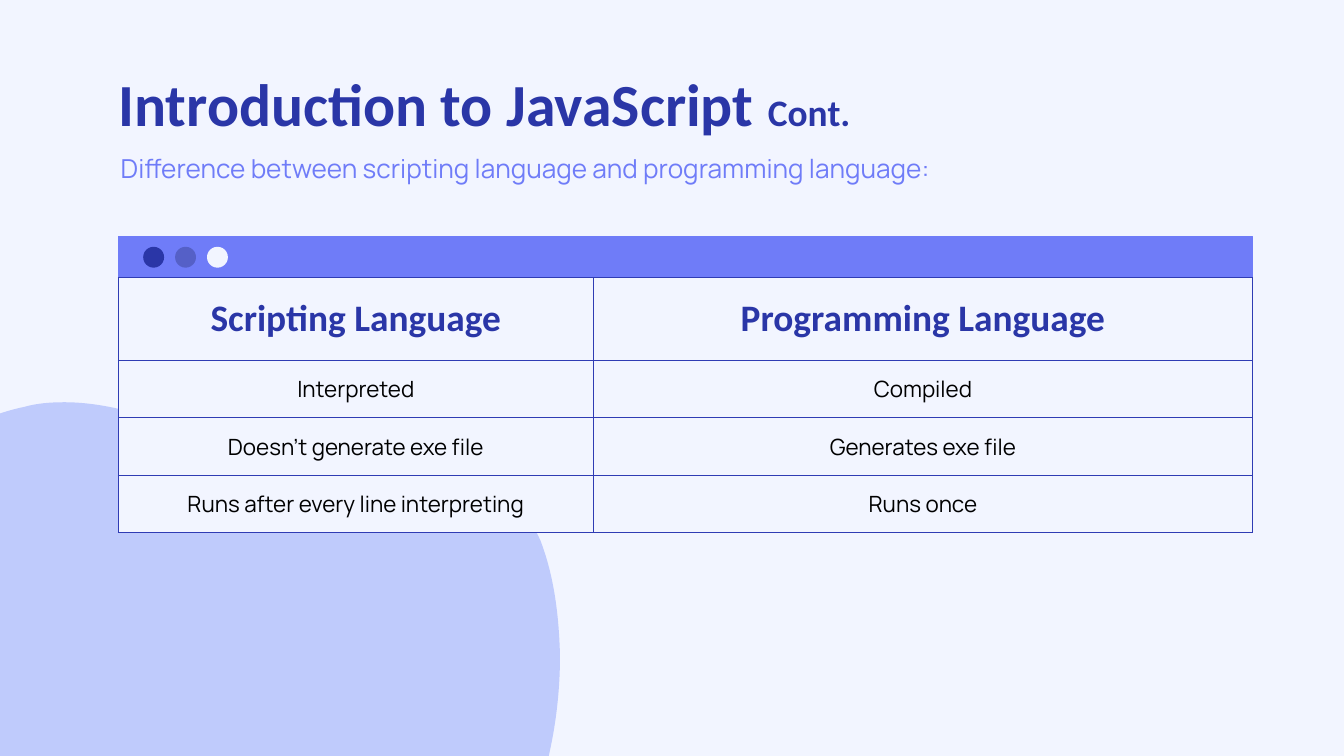
from lxml import etree
from pptx import Presentation
from pptx.dml.color import RGBColor
from pptx.enum.shapes import MSO_SHAPE
from pptx.enum.text import MSO_ANCHOR, PP_ALIGN
from pptx.oxml.ns import qn
from pptx.util import Pt

RECT, OVAL = MSO_SHAPE.RECTANGLE, MSO_SHAPE.OVAL
TOP, MIDDLE = MSO_ANCHOR.TOP, MSO_ANCHOR.MIDDLE
LEFT, CENTER = PP_ALIGN.LEFT, PP_ALIGN.CENTER

COLORS = {
    "background": "F2F5FF",
    "blob": "BFCBFC",
    "navy": "2A36A7",
    "accent": "6F7CF8",
    "mid": "5560C7",
    "border": "2F3CB4",
    "black": "000000",
}


def rgb(name):
    return RGBColor.from_string(COLORS[name])


def style_text(tf, size, font, color, align, bold=False):
    p = tf.paragraphs[0]
    p.alignment = align
    p.font.size = Pt(size)
    p.font.name = font
    p.font.bold = bold
    p.font.color.rgb = rgb(color)


prs = Presentation()
prs.slide_width, prs.slide_height = Pt(720), Pt(405)
s = prs.slides.add_slide(prs.slide_layouts[5])
s.background.fill.solid()
s.background.fill.fore_color.rgb = rgb("background")

BLOB_START = (105, 560)
BLOB_CURVES = [
    ((110, 560), (114.5, 560), (119.5, 560)),
    ((143.5, 558), (166.5, 552), (188, 542)),
    ((199.5, 536.5), (210.5, 530), (220.5, 522)),
    ((223.5, 519.5), (226.5, 517.5), (229.5, 515)),
    ((242, 504.5), (253, 492.5), (262, 479.5)),
    ((287, 443), (300, 397), (300, 351.5)),
    ((299.5, 330.5), (297, 309), (289.5, 289.5)),
    ((282, 273.5), (271.5, 259), (257, 250.5)),
    ((242, 242), (227, 240), (211, 240)),
    ((192, 240), (173, 242.5), (154, 242.5)),
    ((148.5, 242.5), (143.5, 242.5), (138, 242)),
    ((122.5, 240), (107.5, 234), (93, 228)),
    ((92.5, 228), (92.5, 228), (92.5, 227.5)),
    ((73.5, 221), (54, 215.5), (34.5, 215.5)),
    ((27.5, 215.5), (20, 216), (13, 218)),
    ((-11.5, 223), (-34, 237), (-51, 255)),
    ((-95, 301), (-98.5, 376), (-78, 433)),
    ((-49.5, 508.5), (25, 560), BLOB_START),
]
builder = s.shapes.build_freeform(Pt(BLOB_START[0]), Pt(BLOB_START[1]))
builder.add_line_segments([(Pt(x), Pt(y)) for _, _, (x, y) in BLOB_CURVES], close=True)
blob = builder.convert_to_shape()
blob.shadow.inherit = False
blob.fill.solid()
blob.fill.fore_color.rgb = rgb("blob")
blob.line.fill.background()
segments = list(blob._element.iter(qn("a:lnTo")))
for segment, curve in zip(segments, BLOB_CURVES):
    bezier = etree.Element(qn("a:cubicBezTo"))
    for x, y in curve:
        etree.SubElement(bezier, qn("a:pt"), x=str(Pt(x) - blob.left), y=str(Pt(y) - blob.top))
    segment.getparent().replace(segment, bezier)

title = s.shapes.title
title.left, title.top, title.width, title.height = Pt(56.2), Pt(36), Pt(607.6), Pt(45.4)
tf = title.text_frame
p = tf.paragraphs[0]
p.add_run().text = "Introduction to JavaScript "
r = p.add_run()
r.text = "Cont."
r.font.size = Pt(20)
style_text(tf, 32, "Calibri", "navy", LEFT, True)

subtitle = s.shapes.add_textbox(Pt(57.6), Pt(81.8), Pt(646.5), Pt(19.4))
tf = subtitle.text_frame
tf.word_wrap = True
tf.text = "Difference between scripting language and programming language:"
style_text(tf, 14, "Manrope", "accent", LEFT)
for tf in (title.text_frame, subtitle.text_frame):
    tf.vertical_anchor = TOP
    tf.margin_left = tf.margin_right = Pt(7.2)
    tf.margin_top = tf.margin_bottom = 0

TABLE_LEFT, TABLE_TOP, TABLE_WIDTH = 63.4, 148.8, 607.6
BAR_HEIGHT, DOT = 22, 11.2
bar_top = TABLE_TOP - BAR_HEIGHT
window_parts = [(RECT, TABLE_LEFT, bar_top, TABLE_WIDTH, BAR_HEIGHT, "accent")]
for i, color in enumerate(("navy", "mid", "background")):
    window_parts.append((OVAL, 76.7 + 17.1 * i, bar_top + 5.4, DOT, DOT, color))
for kind, x, y, w, h, color in window_parts:
    sp = s.shapes.add_shape(kind, Pt(x), Pt(y), Pt(w), Pt(h))
    sp.shadow.inherit = False
    sp.fill.solid()
    sp.fill.fore_color.rgb = rgb(color)
    if kind == RECT:
        sp.line.color.rgb = rgb(color)
        sp.line.width = Pt(0.75)
    else:
        sp.line.fill.background()

ROWS = [
    ("Scripting Language", "Programming Language"),
    ("Interpreted", "Compiled"),
    ("Doesn’t generate exe file", "Generates exe file"),
    ("Runs after every line interpreting", "Runs once"),
]
HEIGHTS = [44.2] + [30.8] * 3
WIDTHS = [254.5, 353.1]
table = s.shapes.add_table(
    len(ROWS), len(WIDTHS), Pt(TABLE_LEFT), Pt(TABLE_TOP), Pt(TABLE_WIDTH), Pt(sum(HEIGHTS))
).table
table.first_row = table.horz_banding = False
for col, width in zip(table.columns, WIDTHS):
    col.width = Pt(width)
for i, (row, texts, height) in enumerate(zip(table.rows, ROWS, HEIGHTS)):
    row.height = Pt(height)
    for cell, text in zip(row.cells, texts):
        cell.text = text
        cell.vertical_anchor = MIDDLE
        cell.margin_left = cell.margin_right = Pt(7.2)
        cell.margin_top = cell.margin_bottom = Pt(7.2)
        if i == 0:
            style_text(cell.text_frame, 20, "Calibri", "navy", CENTER, True)
        else:
            style_text(cell.text_frame, 12, "Manrope", "black", CENTER)
        tcPr = cell._tc.get_or_add_tcPr()
        for side in ("a:lnL", "a:lnR", "a:lnT", "a:lnB"):
            ln = etree.SubElement(tcPr, qn(side), w=str(Pt(0.75)))
            fill = etree.SubElement(ln, qn("a:solidFill"))
            etree.SubElement(fill, qn("a:srgbClr"), val=COLORS["border"])
        cell.fill.solid()
        cell.fill.fore_color.rgb = rgb("background")

prs.save("out.pptx")
